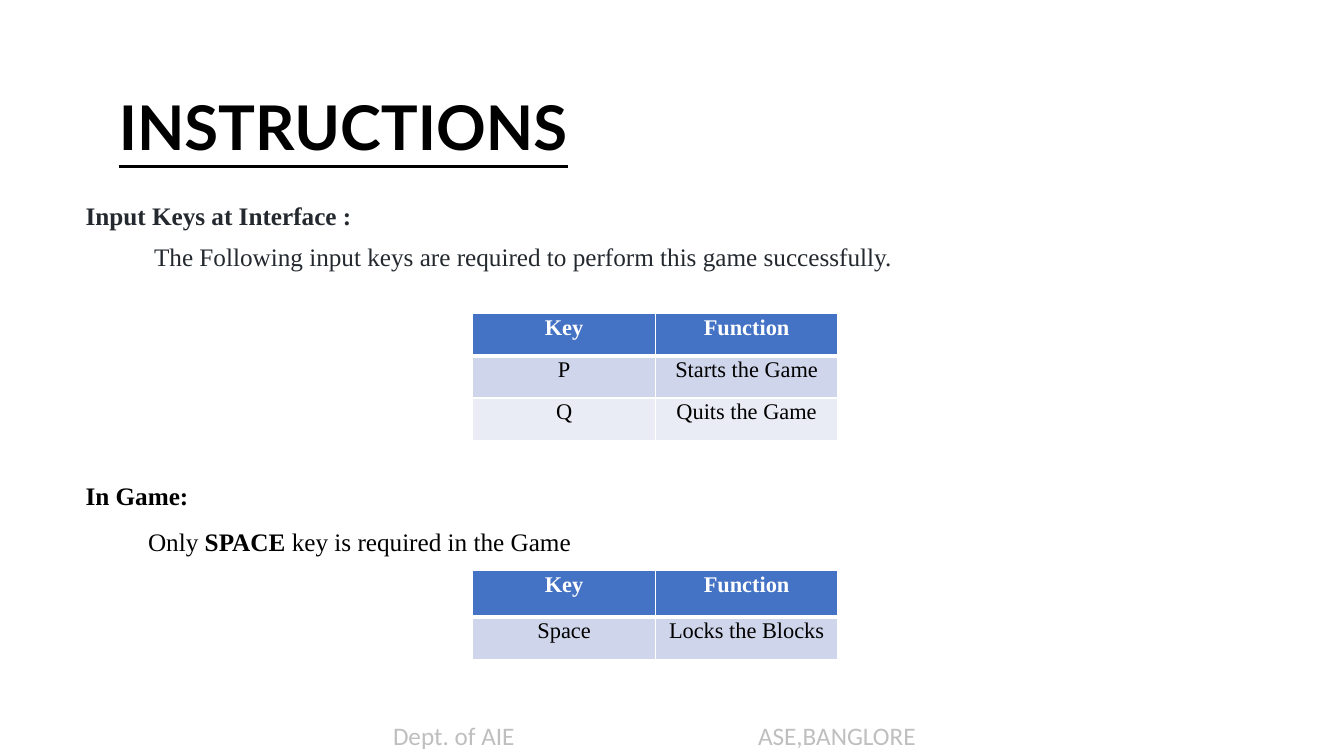
import pptx
import pptx.util
import pptx.dml.color
import pptx.enum.text
import pptx.oxml.ns
import lxml.etree

Inches, Pt = pptx.util.Inches, pptx.util.Pt
RGB = pptx.dml.color.RGBColor
BLACK, WHITE, INK = RGB(0, 0, 0), RGB(255, 255, 255), RGB(0x24, 0x29, 0x2F)
GREY, BLUE = RGB(0xBF, 0xBF, 0xBF), RGB(0x44, 0x72, 0xC4)
BANDS = [RGB(0xCF, 0xD5, 0xEA), RGB(0xE9, 0xEB, 0xF5)]
SERIF = "Times New Roman"
MID = pptx.enum.text.MSO_ANCHOR.MIDDLE
CENTER = pptx.enum.text.PP_ALIGN.CENTER

# Content: runs are (text, bold)
TITLE = "INSTRUCTIONS"
BODY = [
    ([("Input Keys at Interface :", True)],
     dict(color=INK, line=0.9, before=10)),
    ([("The Following input keys are required to perform this game successfully.", False)],
     dict(color=INK, line=0.9, before=10, indent=0.68)),
    ([("In Game:", True)],
     dict(line=1.07, before=147)),
    ([("Only ", False), ("SPACE ", True), ("key is required in the Game", False)],
     dict(line=1.07, before=10, after=8, indent=0.62)),
]
FOOT = "Dept. of AIE\tASE,BANGLORE"
HEAD = ("Key", "Function")
# Tables: top, header height, rows
TABLES = [
    (3.11, 0.42, [HEAD, ("P", "Starts the Game"), ("Q", "Quits the Game")]),
    (5.66, 0.46, [HEAD, ("Space", "Locks the Blocks")]),
]
LEFT, COL, ROW = 4.69, 1.81, 0.42

deck = pptx.Presentation()
deck.slide_width, deck.slide_height = Inches(13.33), Inches(7.5)
slide = deck.slides.add_slide(deck.slide_layouts[6])


def write(para, runs, size=18, font=SERIF, color=BLACK, under=False, align=None,
          line=1.0, before=0, after=0, indent=0, tab=None):
    para.alignment, para.line_spacing = align, line
    para.space_before, para.space_after = Pt(before), Pt(after)
    props = para._p.get_or_add_pPr()
    if indent:
        props.set("marL", "0")
        props.set("indent", str(Inches(indent)))
    if tab:
        stops = lxml.etree.SubElement(props, pptx.oxml.ns.qn("a:tabLst"))
        lxml.etree.SubElement(stops, pptx.oxml.ns.qn("a:tab"), pos=str(Inches(tab)), algn="l")
    for words, bold in runs:
        run = para.add_run()
        run.text = words
        face = run.font
        face.size, face.name, face.bold = Pt(size), font, bold
        face.underline, face.color.rgb = under, color


def frame(*box):
    text = slide.shapes.add_textbox(*map(Inches, box)).text_frame
    text.word_wrap = True
    return text


def border(cell, side, width):
    props = cell._tc.get_or_add_tcPr()
    edge = lxml.etree.SubElement(props, pptx.oxml.ns.qn("a:ln" + side), w=str(Pt(width)))
    fill = lxml.etree.SubElement(edge, pptx.oxml.ns.qn("a:solidFill"))
    lxml.etree.SubElement(fill, pptx.oxml.ns.qn("a:srgbClr"), val=str(WHITE))


# Body text
body = frame(0.75, 1.97, 11.5, 5.04)
for n, (runs, form) in enumerate(BODY):
    write(body.add_paragraph() if n else body.paragraphs[0], runs, **form)

# Footer
foot = frame(3.8, 7.1, 6.67, 0.4)
write(foot.paragraphs[0], [(FOOT, False)], font="Calibri", color=GREY, tab=3.62)

# Title
title = frame(1.08, 0.57, 11.5, 1.45)
title.vertical_anchor = MID
write(title.paragraphs[0], [(TITLE, True)], size=44, font="Lato", under=True, line=0.9)

# Key tables
for top, first, rows in TABLES:
    high = first + ROW * (len(rows) - 1)
    grid = slide.shapes.add_table(len(rows), len(HEAD), Inches(LEFT), Inches(top),
                                  Inches(COL * len(HEAD)), Inches(high)).table
    for col in grid.columns:
        col.width = Inches(COL)
    for r, row in enumerate(rows):
        is_head = r == 0
        grid.rows[r].height = Inches(first if is_head else ROW)
        for c, words in enumerate(row):
            cell = grid.cell(r, c)
            cell.margin_left = cell.margin_right = Inches(0.07)
            cell.margin_top = cell.margin_bottom = 0
            for side in "LRTB":
                thick = (is_head and side == "B") or (r == 1 and side == "T")
                border(cell, side, 3 if thick else 1)
            cell.fill.solid()
            cell.fill.fore_color.rgb = BLUE if is_head else BANDS[(r - 1) % 2]
            write(cell.text_frame.paragraphs[0], [(words, is_head)], size=16,
                  color=WHITE if is_head else BLACK, align=CENTER, line=1.07, after=8)

deck.save("out.pptx")
